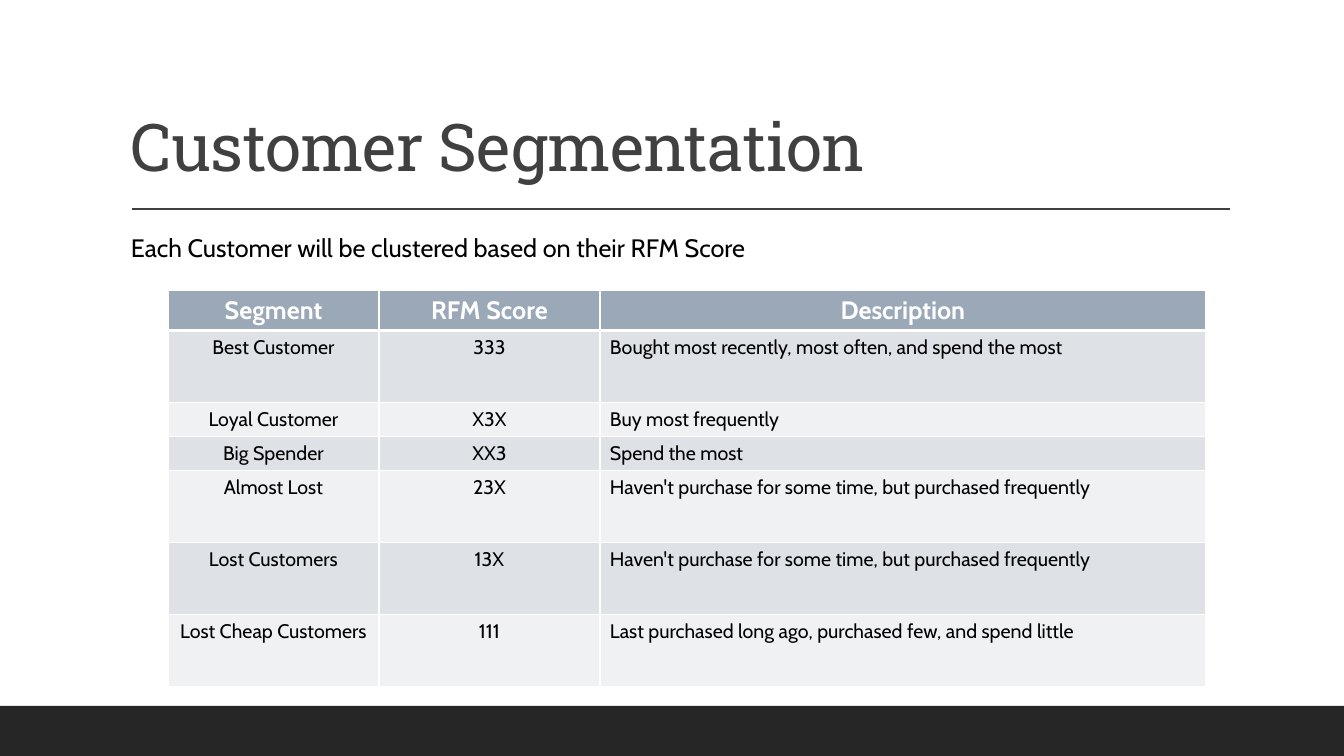
from lxml.etree import SubElement as Sub
from pptx import Presentation
from pptx.dml.color import RGBColor as Rgb
from pptx.enum.shapes import MSO_CONNECTOR as Conn, MSO_SHAPE as Kind
from pptx.enum.text import MSO_ANCHOR as Anchor, PP_ALIGN as Align
from pptx.oxml.ns import qn
from pptx.util import Pt

TITLE = "Customer Segmentation"
INTRO = "Each Customer will be clustered based on their RFM Score"
ROWS = [
    ("Segment", "RFM Score", "Description"),
    ("Best Customer", "333", "Bought most recently, most often, and spend the most"),
    ("Loyal Customer", "X3X", "Buy most frequently"),
    ("Big Spender", "XX3", "Spend the most"),
    ("Almost Lost", "23X", "Haven't purchase for some time, but purchased frequently"),
    ("Lost Customers", "13X", "Haven't purchase for some time, but purchased frequently"),
    ("Lost Cheap Customers", "111", "Last purchased long ago, purchased few, and spend little"),
]
WIDTHS = [211, 221, 606]
HEIGHTS = [40, 72, 34, 34, 72, 72, 72]
HEAD, BANDS = "9BA8B7", ["EFF1F3", "DEE1E6"]
FORMATS = {
    "title": {"name": "Roboto Slab", "size": Pt(47), "color": "404040"},
    "intro": {"name": "Cabin", "size": Pt(18), "color": "000000"},
    "head": {"name": "Cabin", "size": Pt(18), "color": "FFFFFF", "bold": True},
    "body": {"name": "Cabin", "size": Pt(14), "color": "000000", "bold": False},
}


def px(*vals):
    return [round(v * 914400 / 100.8) for v in vals]


def paint(fill, color):
    fill.solid()
    fill.fore_color.rgb = Rgb.from_string(color)


def write(frame, text, style, align=Align.LEFT):
    par = frame.paragraphs[0]
    par.alignment = align
    run = par.add_run()
    run.text = text
    for key, val in FORMATS[style].items():
        if key == "color":
            paint(run.font.fill, val)
        else:
            setattr(run.font, key, val)
    return par, run


def label(box, text, style, anchor):
    frame = slide.shapes.add_textbox(*px(*box)).text_frame
    frame.word_wrap = True
    frame.vertical_anchor = anchor
    return write(frame, text, style)


def border(cell, sides):
    props = cell._tc.get_or_add_tcPr()
    for side, width in sides.items():
        line = Sub(props, qn("a:ln" + side), w=str(Pt(width)))
        Sub(Sub(line, qn("a:solidFill")), qn("a:srgbClr"), val="FFFFFF")


deck = Presentation()
deck.slide_width, deck.slide_height = px(1344, 756)
slide = deck.slides.add_slide(deck.slide_layouts[6])
paint(slide.background.fill, "FFFFFF")

foot = slide.shapes.add_shape(Kind.RECTANGLE, *px(0, 706, 1344, 50))
foot.shadow.inherit = False
paint(foot.fill, "262626")
foot.line.fill.background()

rule = slide.shapes.add_connector(Conn.STRAIGHT, *px(132, 209, 1230, 209))
paint(rule.line.fill, "404040")
rule.line.width = Pt(1)
Sub(rule._element.spPr, qn("a:effectLst"))

par, run = label((121, 31, 1109, 160), TITLE, "title", Anchor.BOTTOM)
par.line_spacing = 0.9
run.font._element.set("spc", "-50")
label((121, 227, 1098, 40), INTRO, "intro", Anchor.TOP)

box = px(168, 290, sum(WIDTHS), sum(HEIGHTS))
table = slide.shapes.add_table(len(ROWS), len(WIDTHS), *box).table
for col, width in zip(table.columns, px(*WIDTHS)):
    col.width = width
for row, height in zip(table.rows, px(*HEIGHTS)):
    row.height = height
for r, texts in enumerate(ROWS):
    for c, text in enumerate(texts):
        cell = table.cell(r, c)
        border(cell, {"L": 1, "R": 1, "T": 3 if r == 1 else 1, "B": 1 if r else 3})
        paint(cell.fill, BANDS[r % 2] if r else HEAD)
        align = Align.LEFT if r and c == 2 else Align.CENTER
        write(cell.text_frame, text, "body" if r else "head", align)

deck.save("out.pptx")
